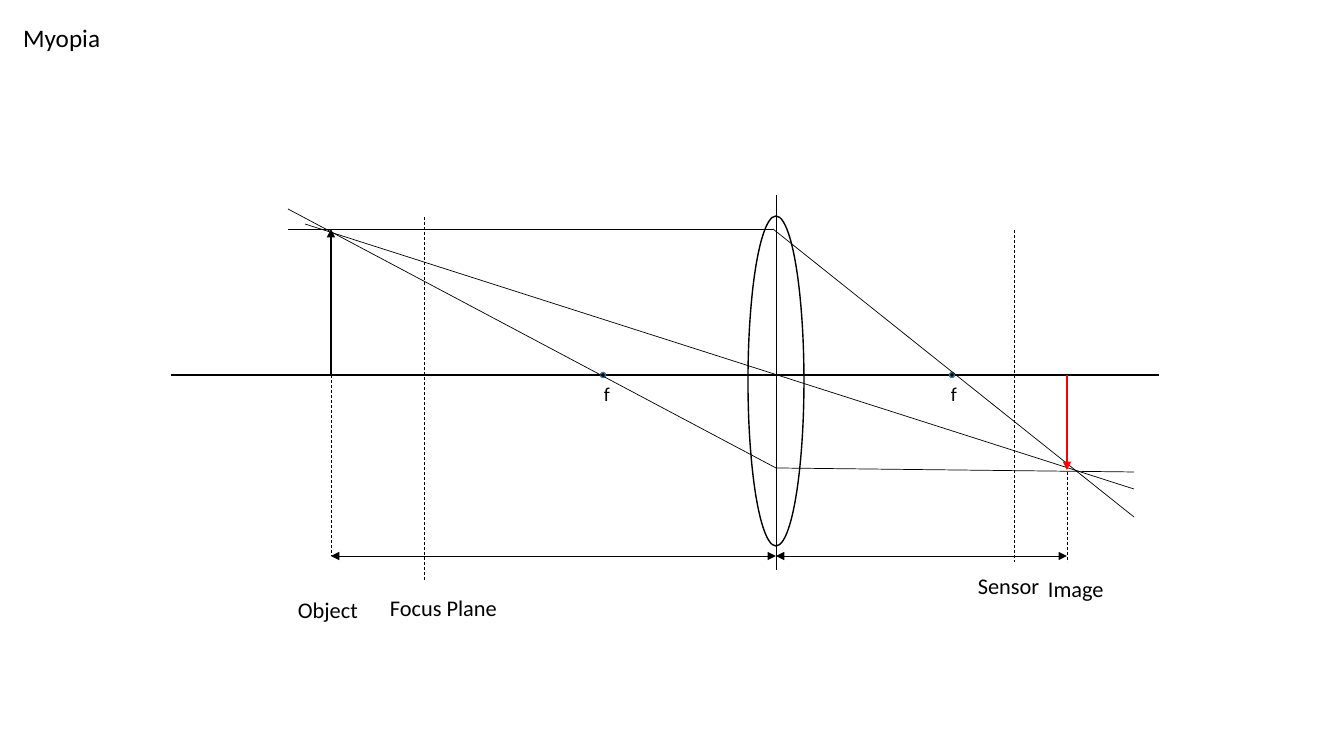
from pptx import Presentation
from pptx.dml.color import RGBColor
from pptx.enum.dml import MSO_LINE
from pptx.enum.shapes import MSO_CONNECTOR, MSO_SHAPE
from pptx.enum.text import MSO_ANCHOR, PP_ALIGN
from pptx.oxml.ns import qn
from pptx.util import Pt
from lxml.etree import SubElement

SCALE = 914400 / 100.8
FONT = "Calibri"
COLORS = {"ink": "000000", "image": "FF0000", "focal_edge": "43739E"}


def emu(pixels):
    """Turn pixels into EMU."""
    return round(pixels * SCALE)


def color(name):
    """Look up a named colour."""
    return RGBColor.from_string(COLORS[name])


def write(frame, wording, size, anchor=MSO_ANCHOR.TOP):
    """Write one left-aligned line into a text frame."""
    frame.word_wrap = False
    frame.vertical_anchor = anchor
    paragraph = frame.paragraphs[0]
    paragraph.alignment = PP_ALIGN.LEFT
    run = paragraph.add_run()
    run.text = wording
    run.font.name = FONT
    run.font.size = Pt(size)
    run.font.color.rgb = color("ink")


def add_line(slide, box, start, end, weight=0.5, ink="ink", dashed=False, heads=()):
    """Draw a line between two points of the box, with optional arrowheads."""
    left, top = box[:2]
    line = slide.shapes.add_connector(
        MSO_CONNECTOR.STRAIGHT,
        emu(left + start[0]), emu(top + start[1]),
        emu(left + end[0]), emu(top + end[1]))
    line.line.color.rgb = color(ink)
    line.line.width = Pt(weight)
    if dashed:
        line.line.dash_style = MSO_LINE.DASH
    properties = line.line._get_or_add_ln()
    for head in heads:
        SubElement(properties, qn(f"a:{head}"), type="triangle")
    SubElement(line._element.spPr, qn("a:effectLst"))


def add_ellipse(slide, box, center, size, weight, edge="ink", fill=None):
    """Draw an ellipse around a point of the box."""
    (x, y), (width, height) = center, size
    ellipse = slide.shapes.add_shape(
        MSO_SHAPE.OVAL, emu(box[0] + x - width / 2), emu(box[1] + y - height / 2),
        emu(width), emu(height))
    ellipse.shadow.inherit = False
    ellipse.line.color.rgb = color(edge)
    ellipse.line.width = Pt(weight)
    if fill:
        ellipse.fill.solid()
        ellipse.fill.fore_color.rgb = color(fill)
    else:
        ellipse.fill.background()


def add_heading(slide, box):
    """Fill the title placeholder."""
    heading = slide.shapes.title
    heading.left, heading.top, heading.width, heading.height = map(emu, box)
    write(heading.text_frame, "Myopia", 18)


def add_labels(slide, box, labels):
    """Add labels given as wording, left, top, width, height and size."""
    for wording, x, y, width, height, size in labels:
        label = slide.shapes.add_textbox(
            emu(box[0] + x), emu(box[1] + y), emu(width), emu(height))
        write(label.text_frame, wording, size)


def add_ray_diagram(slide, box):
    """Draw the lens, its rays, the planes and their labels."""
    width = box[2]
    axis, object_top, image_tip, distance = 180, 34, 275, 361
    object_x, focus_x, lens_x, sensor_x, image_x = 160, 253, 605, 843, 896
    rays_end = 963
    bend_top, bend_bottom = (602, object_top), (lens_x, 273)

    add_line(slide, box, (0, axis), (width, axis), 1)
    add_ellipse(slide, box, (lens_x, 186), (56, 330), 1)
    add_line(slide, box, (lens_x, 0), (lens_x, 375))
    for focal_x in (432, 781):
        add_ellipse(slide, box, (focal_x, axis), (5, 5), 1, "focal_edge", "ink")

    rays = [
        ((117, object_top), bend_top), (bend_top, (rays_end, 322)),
        (bend_bottom, (117, 14)), (bend_bottom, (rays_end, 277)),
        ((134, 29), (rays_end, 294)),
    ]
    for start, end in rays:
        add_line(slide, box, start, end)

    planes = [(object_x, axis, distance), (focus_x, 22, 385),
              (sensor_x, 35, 367), (image_x, 277, 367)]
    for x, top, bottom in planes:
        add_line(slide, box, (x, top), (x, bottom), dashed=True)

    for start, end in ((object_x, lens_x), (lens_x, image_x)):
        add_line(slide, box, (start, distance), (end, distance),
                 heads=("headEnd", "tailEnd"))
    add_line(slide, box, (object_x, axis), (object_x, object_top), 1,
             heads=("tailEnd",))
    add_line(slide, box, (image_x, axis), (image_x, image_tip), 1.5, "image",
             heads=("tailEnd",))

    add_labels(slide, box, [
        ("f", 423, 182, 28, 34, 14), ("f", 770, 182, 26, 34, 14),
        ("Object", 117, 396, 86, 37, 16), ("Focus Plane", 209, 394, 128, 37, 16),
        ("Sensor", 797, 372, 82, 37, 16), ("Image", 867, 375, 76, 37, 16),
    ])


def main():
    """Build and save the slide."""
    presentation = Presentation()
    presentation.slide_width, presentation.slide_height = emu(1344), emu(756)
    slide = presentation.slides.add_slide(presentation.slide_layouts[5])
    add_heading(slide, (13, 17, 98, 40))
    add_ray_diagram(slide, (171, 195, 988, 435))
    presentation.save("out.pptx")


main()
